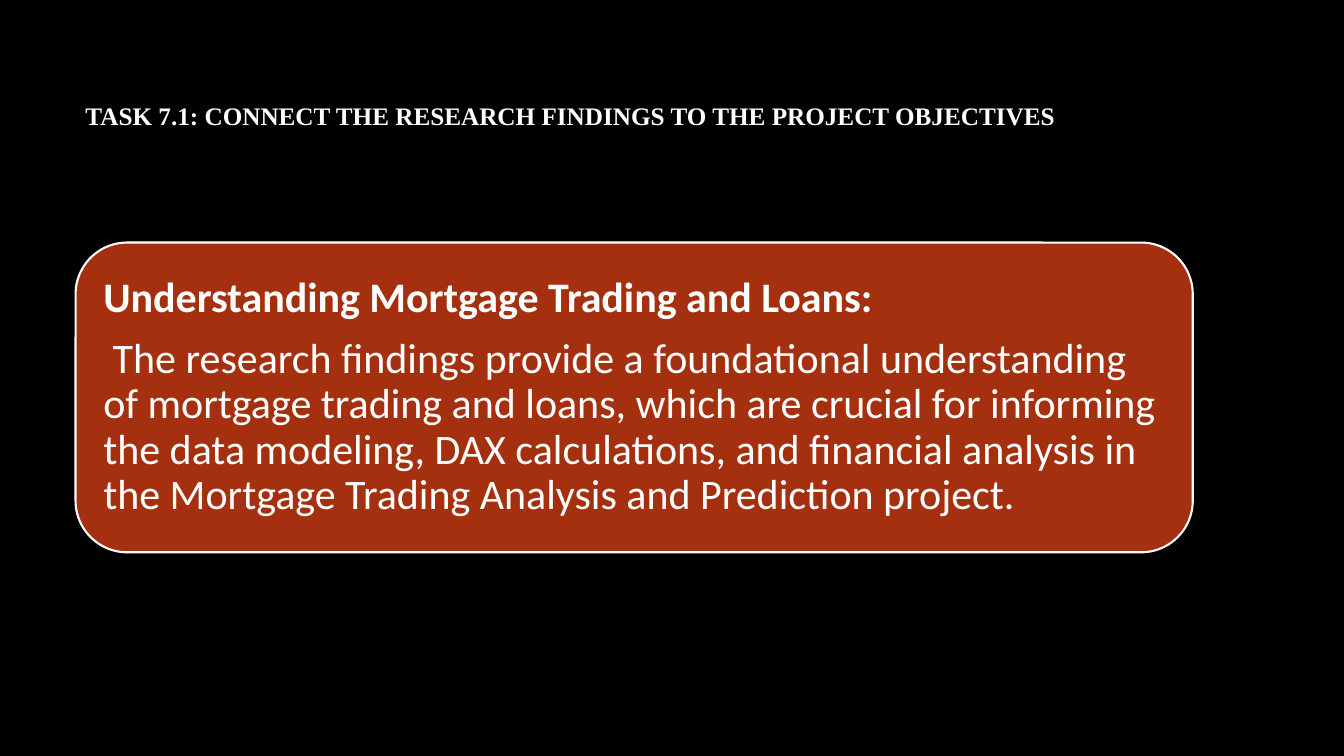
from pptx import Presentation
from pptx.dml.color import RGBColor
from pptx.enum.shapes import MSO_SHAPE
from pptx.enum.text import MSO_ANCHOR, PP_ALIGN
from pptx.util import Emu, Pt

PX = 9525
BLACK = RGBColor(0x00, 0x00, 0x00)
WHITE = RGBColor(0xFF, 0xFF, 0xFF)
RUST = RGBColor(0xA5, 0x30, 0x0F)
ROUNDED = MSO_SHAPE.ROUNDED_RECTANGLE
MIDDLE = MSO_ANCHOR.MIDDLE
LEFT = PP_ALIGN.LEFT

MARGIN, WIDTH = 72, 1064
TITLE = "TASK 7.1: CONNECT THE RESEARCH FINDINGS TO THE PROJECT OBJECTIVES"
HEADING = "Understanding Mortgage Trading and Loans:"
FINDINGS = (
    "The research findings provide a foundational understanding of mortgage "
    "trading and loans, which are crucial for informing the data modeling, "
    "DAX calculations, and financial analysis in the Mortgage Trading "
    "Analysis and Prediction project."
)


def px(length):
    return Emu(length * PX)


def write(para, text, font, size, bold):
    para.text = text
    para.alignment = LEFT
    para.line_spacing = 0.9
    span = para.runs[0]
    span.font.name = font
    span.font.size = Pt(size)
    span.font.bold = bold
    span.font.color.rgb = WHITE


def add_title(page, top, height):
    box = page.shapes.add_textbox(px(MARGIN), px(top), px(WIDTH), px(height))
    frame = box.text_frame
    frame.word_wrap = True
    frame.vertical_anchor = MIDDLE
    frame.margin_bottom = px(62)
    write(frame.paragraphs[0], TITLE, "Times New Roman", 18, True)


def add_card(page, top, height):
    card = page.shapes.add_shape(ROUNDED, px(MARGIN), px(top), px(WIDTH), px(height))
    card.shadow.inherit = False
    card.fill.solid()
    card.fill.fore_color.rgb = RUST
    card.line.color.rgb = WHITE
    card.line.width = Pt(1.5)
    frame = card.text_frame
    frame.word_wrap = True
    frame.vertical_anchor = MIDDLE
    frame.margin_left = frame.margin_right = px(12)
    frame.margin_top = frame.margin_bottom = px(12)
    heading = frame.paragraphs[0]
    write(heading, HEADING, "Calibri", 30, True)
    heading.space_after = Pt(11)
    findings = frame.add_paragraph()
    write(findings, FINDINGS, "Calibri", 30, False)
    findings._p.get_or_add_pPr().set("indent", str(px(9)))


def main():
    deck = Presentation()
    deck.slide_width = px(1280)
    deck.slide_height = px(720)
    page = deck.slides.add_slide(deck.slide_layouts[6])
    page.background.fill.solid()
    page.background.fill.fore_color.rgb = BLACK
    add_title(page, 64, 153)
    add_card(page, 231, 295)
    deck.save("out.pptx")


if __name__ == "__main__":
    main()
